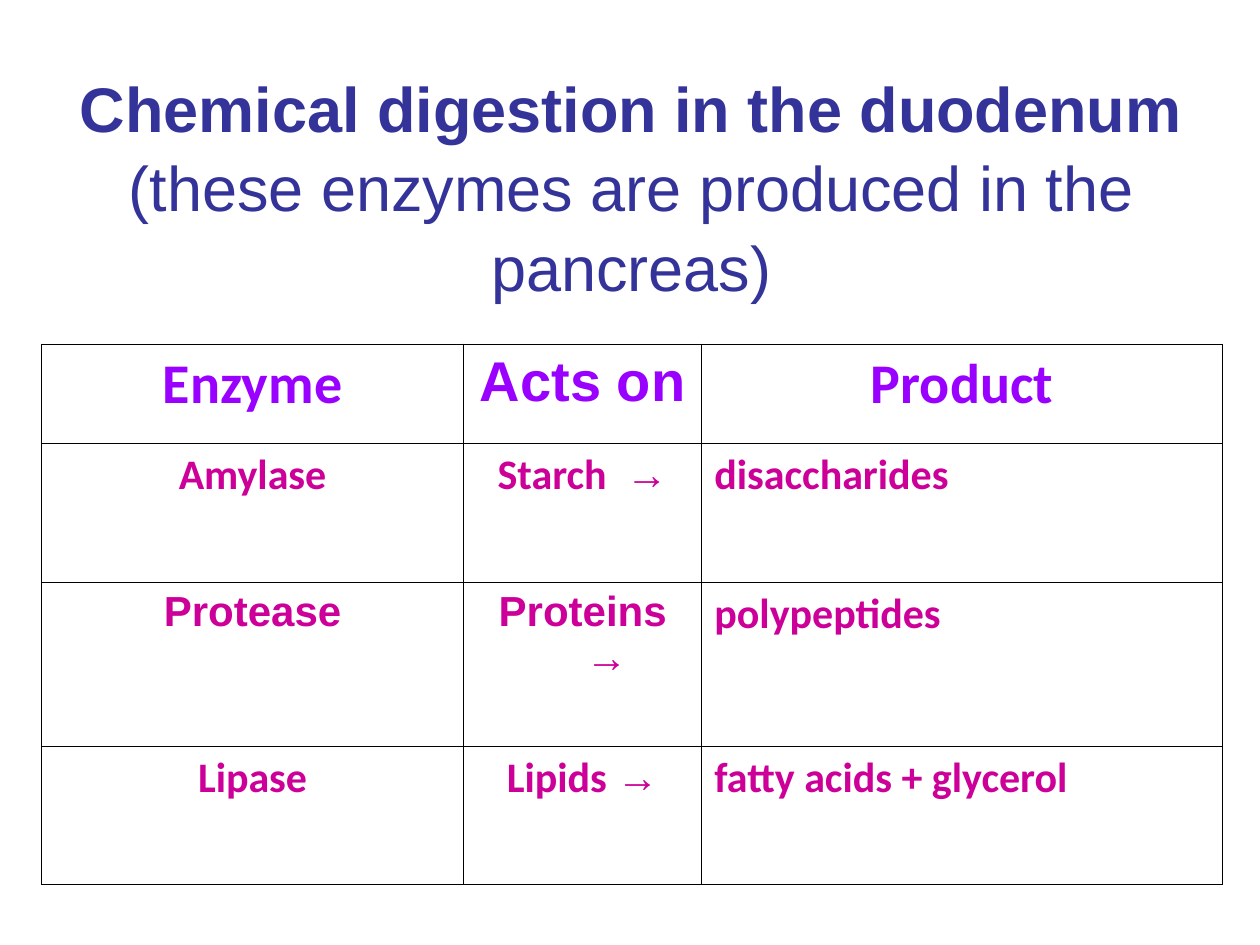
import pptx
import pptx.util
import pptx.dml.color
import pptx.enum.text
import pptx.oxml.ns
from lxml import etree

Color = pptx.dml.color.RGBColor
Align = pptx.enum.text.PP_ALIGN
NAVY = Color(0x33, 0x33, 0x99)
VIOLET = Color(0x99, 0x00, 0xFF)
PINK = Color(0xCC, 0x00, 0x99)
WHITE = Color(0xFF, 0xFF, 0xFF)
BLACK = Color(0x00, 0x00, 0x00)

WIDE, HIGH = pptx.util.Inches(10), pptx.util.Inches(7.5)
COLS, ROWS = 100, 75
ARROW = "→"
HEADS = [("Enzyme", "Calibri"), ("Acts on", "Arial"), ("Product", "Calibri")]
FACTS = [
    ("Amylase", "Starch  ", "disaccharides", "Calibri"),
    ("Protease", "Proteins ", "polypeptides", "Arial"),
    ("Lipase", "Lipids ", "fatty acids + glycerol", "Calibri"),
]


def col(n):
    return round(WIDE * n / COLS)


def row(n):
    return round(HIGH * n / ROWS)


def write(para, text, font="Arial", size=24, color=PINK, bold=True):
    run = para.add_run()
    run.text = text
    run.font.name = font
    run.font.size = pptx.util.Pt(size)
    run.font.bold = bold
    run.font.color.rgb = color


def title(slide, left, top, width, height):
    box = slide.shapes.add_textbox(col(left), row(top), col(width), row(height))
    frame = box.text_frame
    frame.word_wrap = True
    frame.vertical_anchor = pptx.enum.text.MSO_ANCHOR.MIDDLE
    para = frame.paragraphs[0]
    para.alignment = Align.CENTER
    para.line_spacing = 1.05
    write(para, "Chemical digestion in the duodenum", size=36, color=NAVY)
    para.add_line_break()
    write(para, "(these enzymes are produced in the pancreas)",
          size=36, color=NAVY, bold=False)


def edge(cell):
    props = cell._tc.get_or_add_tcPr()
    for spot, side in enumerate(("lnL", "lnR", "lnT", "lnB")):
        line = etree.Element(pptx.oxml.ns.qn("a:" + side),
                             w=str(pptx.util.Pt(0.45)))
        fill = etree.SubElement(line, pptx.oxml.ns.qn("a:solidFill"))
        etree.SubElement(fill, pptx.oxml.ns.qn("a:srgbClr"), val=str(BLACK))
        props.insert(spot, line)


def fill(cell, parts, align=Align.CENTER, **style):
    cell.fill.solid()
    cell.fill.fore_color.rgb = WHITE
    edge(cell)
    para = cell.text_frame.paragraphs[0]
    para.alignment = align
    props = para._p.get_or_add_pPr()
    props.set("marL", str(col(3.8)))
    props.set("indent", str(-col(3.8)))
    for text, font in parts:
        write(para, text, font=font, **style)


def table(slide, left, top, widths, heights):
    frame = slide.shapes.add_table(
        len(heights), len(widths), col(left), row(top),
        col(sum(widths)), row(sum(heights)))
    grid = frame.table
    grid.first_row = grid.horz_banding = False
    for part, width in zip(grid.columns, widths):
        part.width = col(width)
    for part, height in zip(grid.rows, heights):
        part.height = row(height)
    for x, head in enumerate(HEADS):
        fill(grid.cell(0, x), [head], size=32, color=VIOLET)
    for y, (enzyme, food, result, font) in enumerate(FACTS, 1):
        fill(grid.cell(y, 0), [(enzyme, font)])
        fill(grid.cell(y, 1), [(food, font), (ARROW, "Times New Roman")])
        fill(grid.cell(y, 2), [(result, "Calibri")], align=Align.LEFT)


def main():
    deck = pptx.Presentation()
    deck.slide_width, deck.slide_height = WIDE, HIGH
    slide = deck.slides.add_slide(deck.slide_layouts[6])
    title(slide, 5.1, 8.4, 90, 12.5)
    table(slide, 3.3, 27.3, (33.5, 18.9, 41.3), (7.9, 11, 13, 11))
    deck.save("out.pptx")


if __name__ == "__main__":
    main()
